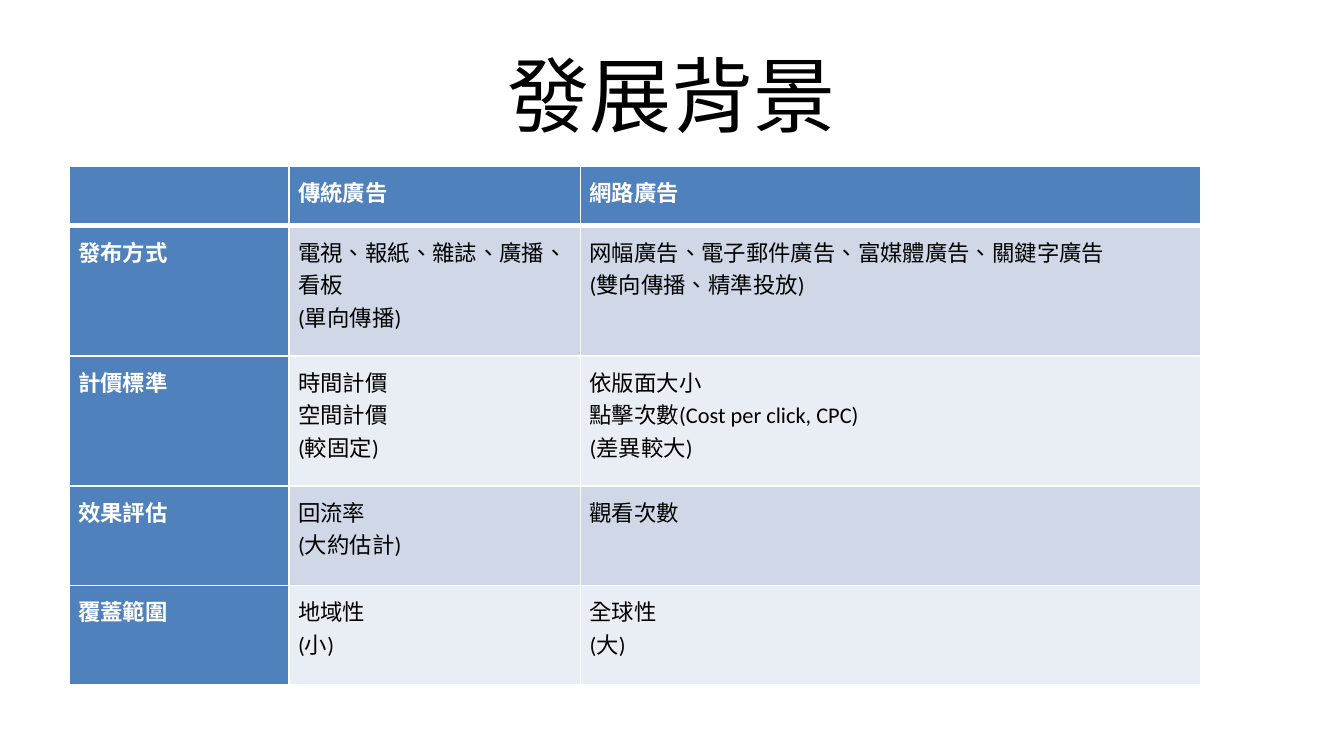
"""Build a slide comparing traditional and online advertising."""
from lxml import etree
from pptx import Presentation
from pptx.dml.color import RGBColor
from pptx.enum.text import MSO_ANCHOR, PP_ALIGN
from pptx.oxml.ns import qn
from pptx.util import Pt

PX = 5715
FONT = "Calibri"
LANGUAGE = "zh-TW"
MIDDLE = MSO_ANCHOR.MIDDLE
CENTER = PP_ALIGN.CENTER
BLACK = RGBColor(0x00, 0x00, 0x00)
WHITE = RGBColor(0xFF, 0xFF, 0xFF)
BLUE = RGBColor(0x4F, 0x81, 0xBD)
BANDS = (RGBColor(0xE9, 0xED, 0xF4), RGBColor(0xD0, 0xD8, 0xE8))

MARGIN = 11
COLUMN_WIDTHS = (262, 347, 739)
ROW_HEIGHTS = (71, 155, 155, 118, 118)
ROWS = (
    ("", "傳統廣告", "網路廣告"),
    ("發布方式", "電視、報紙、雜誌、廣播、看板\n(單向傳播)",
     "网幅廣告、電子郵件廣告、富媒體廣告、關鍵字廣告\n(雙向傳播、精準投放)"),
    ("計價標準", "時間計價\n空間計價\n(較固定)",
     "依版面大小\n點擊次數(Cost per click, CPC)\n(差異較大)"),
    ("效果評估", "回流率\n(大約估計)", "觀看次數"),
    ("覆蓋範圍", "地域性\n(小)", "全球性\n(大)"),
)


def px(n):
    """Turn whole px into EMU."""
    return n * PX


def add_run(p, text, size, color, bold=False):
    """Add one formatted run to a paragraph."""
    r = p.add_run()
    r.text = text
    r.font.name = FONT
    r.font.size = Pt(size)
    r.font.bold = bold
    r.font.color.rgb = color
    r._r.get_or_add_rPr().set("lang", LANGUAGE)


def set_borders(cell, bottom):
    """Draw white cell borders, with the given bottom width in points."""
    tc_pr = cell._tc.get_or_add_tcPr()
    widths = {"a:lnL": 1, "a:lnR": 1, "a:lnT": 1, "a:lnB": bottom}
    for i, (tag, width) in enumerate(widths.items()):
        ln = etree.Element(qn(tag), w=str(Pt(width)))
        fill = etree.SubElement(ln, qn("a:solidFill"))
        etree.SubElement(fill, qn("a:srgbClr"), val=str(WHITE))
        tc_pr.insert(i, ln)


def fill_cell(cell, text, fill, color, bold):
    """Set the fill, margins and lines of text of a cell."""
    cell.fill.solid()
    cell.fill.fore_color.rgb = fill
    if not text:
        return
    cell.margin_left = cell.margin_right = px(MARGIN)
    cell.margin_top = cell.margin_bottom = px(MARGIN)
    tf = cell.text_frame
    for i, line in enumerate(text.split("\n")):
        p = tf.add_paragraph() if i else tf.paragraphs[0]
        add_run(p, line, 12, color, bold)


def add_title(s, text):
    """Place and fill the title placeholder."""
    sp = s.shapes.title
    sp.left, sp.top, sp.width, sp.height = px(80), px(36), px(1440), px(150)
    tf = sp.text_frame
    tf.vertical_anchor = MIDDLE
    p = tf.paragraphs[0]
    p.alignment = CENTER
    add_run(p, text, 44, BLACK)


def add_comparison(s):
    """Add the comparison table with its header row and column."""
    table = s.shapes.add_table(
        len(ROWS), len(COLUMN_WIDTHS), px(82), px(198),
        px(sum(COLUMN_WIDTHS)), px(sum(ROW_HEIGHTS))).table
    for column, width in zip(table.columns, COLUMN_WIDTHS):
        column.width = px(width)
    for i, (height, texts) in enumerate(zip(ROW_HEIGHTS, ROWS)):
        table.rows[i].height = px(height)
        for j, text in enumerate(texts):
            cell = table.cell(i, j)
            header = i == 0 or j == 0
            fill = BLUE if header else BANDS[i % 2]
            fill_cell(cell, text, fill, WHITE if header else BLACK, header)
            set_borders(cell, 3 if i == 0 else 1)


def main():
    """Build and save the slide."""
    prs = Presentation()
    prs.slide_width, prs.slide_height = px(1600), px(900)
    s = prs.slides.add_slide(prs.slide_layouts[5])
    add_title(s, "發展背景")
    add_comparison(s)
    prs.save("out.pptx")


if __name__ == "__main__":
    main()
